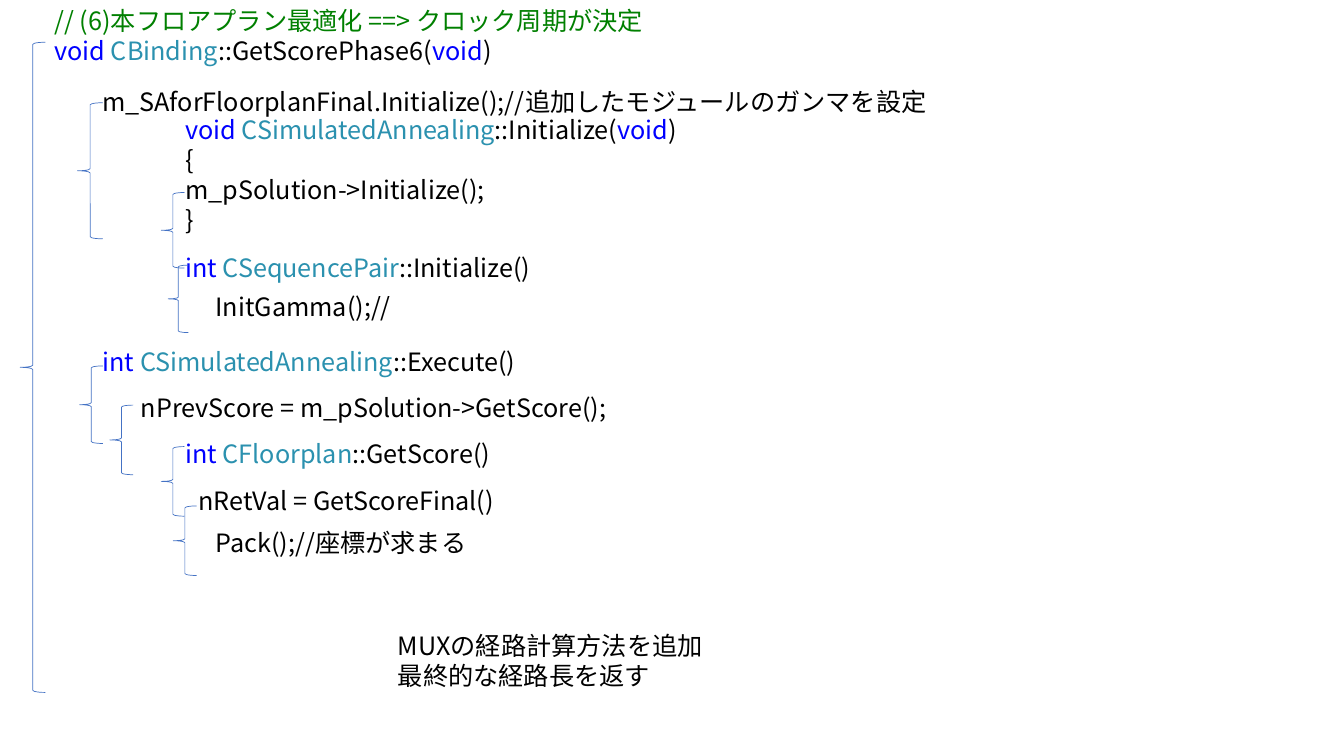
import pptx
import pptx.util
import pptx.dml.color
import pptx.enum.shapes
import pptx.enum.text
import lxml.etree
from dataclasses import dataclass

Pt = pptx.util.Pt


@dataclass(frozen=True)
class Theme:
    font: str = "Noto Sans CJK JP"
    size: float = 18
    plain: str = "000000"
    key: str = "0000FF"
    kind: str = "2B91AF"
    note: str = "008000"
    brace: str = "4472C4"
    rule: float = 0.5
    row: float = 21.7
    pad: float = 7.2


theme = Theme()

# Content: a line is a list of (role, text) pieces


def call(start, owner, name, arg=""):
    """One signature line, with its keywords and class coloured."""
    line = [("key", start + " "), ("kind", owner), ("plain", f"::{name}(")]
    return line + ([("key", arg)] if arg else []) + [("plain", ")")]


def code(text):
    return [("plain", text)]


head = (31.7, 0, 480, [
    [("note", "// (6)本フロアプラン最適化 ==> クロック周期が決定")],
    call("void", "CBinding", "GetScorePhase6", "void")])

# left, top, width, lines
blocks = [
    (66.2, 58.3, 781, [code("m_SAforFloorplanFinal.Initialize();//追加したモジュールのガンマを設定")]),
    (125.3, 77.8, 472, [call("void", "CSimulatedAnnealing", "Initialize", "void"),
                        code("{"), code("m_pSolution->Initialize();"), code("}")]),
    (125.3, 176.4, 349, [call("int", "CSequencePair", "Initialize")]),
    (146.9, 204.5, 420, [code("InitGamma();//")]),
    (66.2, 244.1, 323, [call("int", "CSimulatedAnnealing", "Execute")]),
    (93.6, 276.5, 351, [code("nPrevScore = m_pSolution->GetScore();")]),
    (125.3, 309.6, 251, [call("int", "CFloorplan", "GetScore")]),
    (134.6, 343.4, 242, [code("nRetVal = GetScoreFinal()")]),
    (146.9, 373, 214, [code("Pack();//座標が求まる")]),
    (277.2, 446.4, 359, [code("MUXの経路計算方法を追加"), code("最終的な経路長を返す")]),
]

# left, top, width, height of each scope brace
scopes = [
    (14.4, 30.2, 18, 464.4),
    (55.4, 73.4, 18, 97.2),
    (115.2, 137.5, 16.6, 54),
    (120.2, 189.4, 14.4, 48.2),
    (56.9, 261.4, 16.6, 55.4),
    (78.5, 289.4, 16.6, 49.7),
    (115.2, 319, 16.6, 49.7),
    (123.8, 361.4, 16.6, 49.7),
]

# Formats
frame_form = {
    "word_wrap": True,
    "auto_size": pptx.enum.text.MSO_AUTO_SIZE.NONE,
    "vertical_anchor": pptx.enum.text.MSO_ANCHOR.TOP,
    "margin_left": Pt(7.2), "margin_right": Pt(7.2),
    "margin_top": Pt(3.6), "margin_bottom": Pt(3.6),
}
line_form = {
    "alignment": pptx.enum.text.PP_ALIGN.LEFT,
    "line_spacing": 1.0, "space_before": Pt(0), "space_after": Pt(0),
}
font_form = {"name": theme.font, "size": Pt(theme.size), "bold": False}


def color(role):
    return pptx.dml.color.RGBColor.from_string(getattr(theme, role))


def apply(target, form):
    for name, value in form.items():
        setattr(target, name, value)


def place(box, left, top, width, lines):
    """Move a box, fit its height to its lines and fill it."""
    apply(box, {"left": Pt(left), "top": Pt(top), "width": Pt(width),
                "height": Pt(theme.pad + theme.row * len(lines))})
    frame = box.text_frame
    apply(frame, frame_form)
    for i, line in enumerate(lines):
        para = frame.add_paragraph() if i else frame.paragraphs[0]
        apply(para, line_form)
        for role, text in line:
            run = para.add_run()
            run.text = text
            apply(run.font, font_form)
            run.font.color.rgb = color(role)
            latin = run.font._element.find(pptx.oxml.ns.qn("a:latin"))
            east = lxml.etree.Element(pptx.oxml.ns.qn("a:ea"), typeface=theme.font)
            latin.addnext(east)


# Slide
deck = pptx.Presentation()
apply(deck, {"slide_width": Pt(960), "slide_height": Pt(540)})
slide = deck.slides.add_slide(deck.slide_layouts[5])
shapes = slide.shapes

# Title and code
place(shapes.title, *head)
for block in blocks:
    place(shapes.add_textbox(0, 0, 0, 0), *block)

# Scope braces
for scope in scopes:
    brace = shapes.add_shape(pptx.enum.shapes.MSO_SHAPE.LEFT_BRACE, *map(Pt, scope))
    brace.shadow.inherit = False
    brace.fill.background()
    brace.line.color.rgb = color("brace")
    brace.line.width = Pt(theme.rule)

deck.save("out.pptx")
